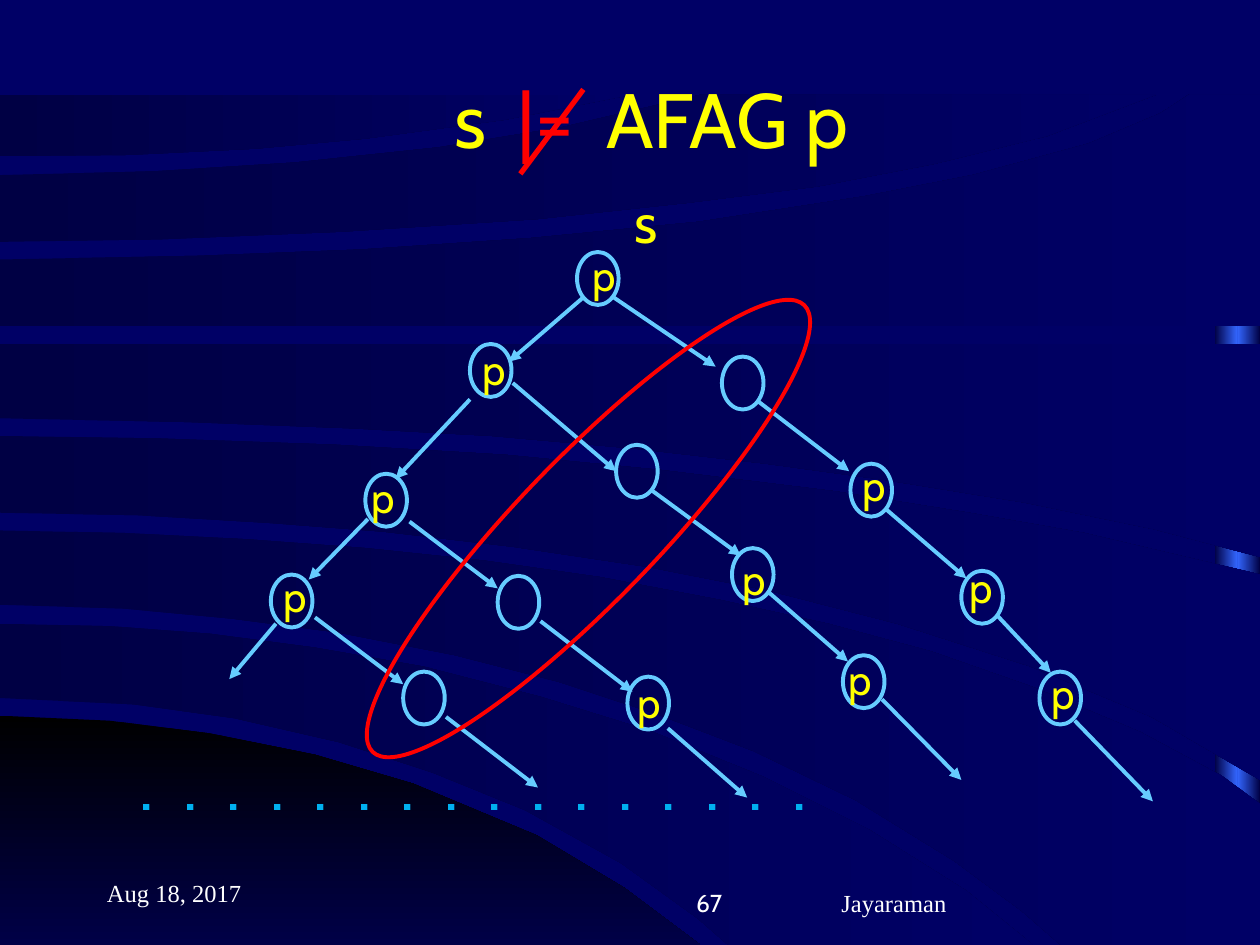
from lxml import etree
from pptx import Presentation, util as u
from pptx.dml.color import RGBColor
from pptx.enum import shapes, text
from pptx.oxml.ns import qn

# Content: positions on a grid of inches, turned into Cm by grid()
NAVY, DARK, SKY, YELLOW, RED, WHITE = (
    "000066", "000044", "66CCFF", "FFFF00", "FF0000", "FFFFFF")
WIDTH, HEIGHT = 10, 7.5

# Each sweep is bounded by an upper and a lower edge, both left to right
SWEEPS = [
    ([(0, 4.95), (0.88, 4.97), (1.67, 5.03), (2.5, 5.14), (3.36, 5.29),
      (4.29, 5.53), (5.16, 5.8), (6.07, 6.17), (6.89, 6.58), (7.67, 7.07),
      (8.2, 7.5)],
     [(0, 5.54), (1.06, 5.59), (1.86, 5.7), (2.69, 5.89), (3.43, 6.13),
      (4.17, 6.43), (4.93, 6.85), (5.54, 7.29), (5.78, 7.5)]),
    ([(0, 4.21), (0.98, 4.23), (1.96, 4.28), (2.9, 4.35), (3.85, 4.45),
      (4.76, 4.58), (5.71, 4.76), (6.57, 4.95), (7.39, 5.17), (8.19, 5.45),
      (9.05, 5.81), (9.7, 6.16), (10, 6.38), (10, 7.5)],
     [(0, 4.8), (0.98, 4.83), (1.84, 4.91), (2.68, 5.02), (3.61, 5.2),
      (4.43, 5.41), (5.22, 5.67), (5.98, 5.96), (6.79, 6.35), (7.57, 6.83),
      (8.11, 7.23), (8.42, 7.5)]),
    ([(0, 3.46), (1.25, 3.48), (2.66, 3.53), (4.01, 3.61), (5.24, 3.73),
      (6.63, 3.9), (7.69, 4.07), (8.6, 4.23), (10, 4.56)],
     [(0, 4.07), (1.1, 4.09), (2.12, 4.15), (3.04, 4.22), (4.07, 4.34),
      (5.14, 4.5), (6.11, 4.69), (7.12, 4.95), (8.18, 5.29), (9.14, 5.69),
      (10, 6.19)]),
    ([(0, 2.73), (10, 2.73)],
     [(0, 3.32), (1.48, 3.35), (2.79, 3.4), (3.9, 3.46), (5.03, 3.56),
      (6.08, 3.68), (7.03, 3.81), (8.14, 3.99), (9.16, 4.2), (10, 4.42)]),
    ([(0, 2.06), (1.58, 2.03), (2.87, 1.98), (4.21, 1.89), (5.55, 1.76),
      (6.85, 1.56), (7.72, 1.39), (8.64, 1.14), (9.21, 0.9), (9.44, 0.75),
      (10, 0.75)],
     [(0, 2.59), (10, 2.59)]),
    ([(0, 1.39), (1.22, 1.36), (2.34, 1.29), (3.48, 1.17), (4.46, 1.01),
      (5.57, 0.75), (9.18, 0.75)],
     [(0, 1.92), (1.27, 1.9), (2.71, 1.84), (4.26, 1.74), (5.46, 1.61),
      (6.49, 1.48), (7.42, 1.3), (8.31, 1.08), (9.18, 0.75)]),
    ([(0, 0.75), (5.02, 0.75)],
     [(0, 1.24), (1.02, 1.23), (2.03, 1.18), (2.9, 1.1), (4.01, 0.95),
      (5.02, 0.75)]),
]
CORNER = ([(0, 5.68), (0.87, 5.72), (1.66, 5.82), (2.5, 5.99), (3.28, 6.22),
           (4.26, 6.63), (4.96, 7.05), (5.56, 7.5)], [(0, 7.5)])

# States where p holds: state corner, then corner of its label
P_STATES = [
    ((4.58, 2), (4.6, 1.93)), ((3.73, 2.73), (3.73, 2.68)),
    ((2.9, 3.76), (2.85, 3.69)), ((2.15, 4.56), (2.15, 4.48)),
    ((6.75, 3.68), (6.74, 3.6)), ((7.63, 4.53), (7.59, 4.41)),
    ((8.25, 5.33), (8.24, 5.25)), ((5.81, 4.35), (5.79, 4.34)),
    ((6.69, 5.2), (6.63, 5.14)), ((4.98, 5.37), (4.96, 5.32)),
]
EMPTY_STATES = [(5.73, 2.83), (4.89, 3.53), (3.95, 4.57), (3.2, 5.33)]
TRANSITIONS = [
    # left spine
    (4.63, 2.36, 4.04, 2.87), (3.73, 3.17, 3.14, 3.8),
    (2.92, 4.12, 2.45, 4.6), (2.19, 4.95, 1.82, 5.39),
    # branches to the right, one row for each spine state
    (4.87, 2.36, 5.68, 2.91), (6.01, 3.18, 6.74, 3.74),
    (7.03, 4.04, 7.67, 4.59), (7.91, 4.88, 8.34, 5.34),
    (8.53, 5.72, 9.15, 6.36),
    (4.07, 3.04, 4.89, 3.74), (5.17, 3.89, 5.88, 4.41),
    (6.1, 4.7, 6.73, 5.25), (7, 5.55, 7.63, 6.19),
    (3.25, 4.14, 3.95, 4.67), (4.29, 4.93, 5.02, 5.49),
    (5.3, 5.78, 5.93, 6.33),
    (2.5, 4.9, 3.2, 5.43), (3.54, 5.69, 4.27, 6.25),
]
# Runs: wording, colour, letter spacing in points
TITLE = [("s", YELLOW, 0), (" ", YELLOW, 8.4), ("|=", RED, 0),
         (" ", YELLOW, 8.4), ("AFAG p", YELLOW, 0)]
DOTS = [(" ".join("." * 16), "00B0F0", 3.9)]

LEFT, CENTER, RIGHT = (text.PP_ALIGN.LEFT, text.PP_ALIGN.CENTER,
                       text.PP_ALIGN.RIGHT)
TOP, MIDDLE, BOTTOM = (text.MSO_ANCHOR.TOP, text.MSO_ANCHOR.MIDDLE,
                       text.MSO_ANCHOR.BOTTOM)


def grid(*inches):
    return [u.Cm(2.54 * value) for value in inches]


def rgb(color):
    return RGBColor.from_string(color)


def shade(shape, first, last, angle=0):
    shape.shadow.inherit = False
    shape.line.fill.background()
    shape.fill.gradient()
    shape.fill.gradient_angle = angle
    for stop, color in zip(shape.fill.gradient_stops, (first, last)):
        stop.color.rgb = rgb(color)


def add_sweep(slide, edges, first, last, angle=0):
    upper, lower = edges
    outline = [(round(x * 100), round(y * 100)) for x, y in upper + lower[::-1]]
    builder = slide.shapes.build_freeform(*outline[0], scale=u.Cm(0.0254))
    builder.add_line_segments(outline[1:], close=True)
    shade(builder.convert_to_shape(), first, last, angle)


def add_ring(slide, at, color, rotation=0):
    ring = slide.shapes.add_shape(shapes.MSO_SHAPE.OVAL, *grid(*at))
    ring.shadow.inherit = False
    ring.fill.background()
    ring.line.color.rgb = rgb(color)
    ring.line.width = u.Pt(2.25)
    ring.rotation = rotation


def add_stroke(slide, ends, color, width, arrow=False):
    stroke = slide.shapes.add_connector(shapes.MSO_CONNECTOR.STRAIGHT, *grid(*ends))
    stroke.line.color.rgb = rgb(color)
    stroke.line.width = u.Pt(width)
    if arrow:
        etree.SubElement(stroke.line._get_or_add_ln(), qn("a:tailEnd"), type="triangle")
    etree.SubElement(stroke._element.spPr, qn("a:effectLst"))


def add_words(slide, at, runs, size, align=CENTER, anchor=TOP, font="Cabin", wrap=True):
    frame = slide.shapes.add_textbox(*grid(*at)).text_frame
    frame.word_wrap = wrap
    frame.vertical_anchor = anchor
    line = frame.paragraphs[0]
    line.alignment = align
    line.font.size = u.Pt(size)
    line.font.name = font
    for wording, color, spacing in runs:
        run = line.add_run()
        run.text = wording
        run.font.color.rgb = rgb(color)
        if spacing:
            run.font._element.set("spc", str(round(spacing * 100)))


def main():
    deck = Presentation()
    deck.slide_width, deck.slide_height = grid(WIDTH, HEIGHT)
    slide = deck.slides.add_slide(deck.slide_layouts[6])

    # Backdrop: glowing right margin, dark corner and sweeps
    slide.background.fill.solid()
    slide.background.fill.fore_color.rgb = rgb(NAVY)
    for left, colors in ((9.64, (DARK, "3366FF")), (9.82, ("3366FF", DARK))):
        margin = slide.shapes.add_shape(
            shapes.MSO_SHAPE.RECTANGLE, *grid(left, 0.77, 0.18, HEIGHT - 0.77))
        shade(margin, *colors)
    add_sweep(slide, CORNER, "000000", "000047", 270)
    for edges in SWEEPS:
        add_sweep(slide, edges, DARK, NAVY)

    # Title with struck-out relation, and footer
    add_words(slide, (0.92, 0.31, 8.5, 1.25), TITLE, 44, anchor=MIDDLE)
    add_stroke(slide, (4.63, 0.71, 4.13, 1.38), RED, 3)
    for at, wording, align, font in (
            ((0.75, 6.75, 2.08, 0.5), "Aug 18, 2017", LEFT, "Times New Roman"),
            ((6.58, 6.83, 3.17, 0.5), "Jayaraman", LEFT, "Times New Roman"),
            ((3.75, 6.83, 2.08, 0.5), "67", RIGHT, "Cabin")):
        add_words(slide, at, [(wording, WHITE, 0)], 14, align, BOTTOM, font)

    # Computation tree
    for ends in TRANSITIONS:
        add_stroke(slide, ends, SKY, 2.25, arrow=True)
    for corner in [state for state, _ in P_STATES] + EMPTY_STATES:
        add_ring(slide, (*corner, 0.33, 0.42), SKY)
    for _, corner in P_STATES:
        add_words(slide, (*corner, 0.39, 0.5), [("p", YELLOW, 0)], 24, wrap=False)
    add_words(slide, (4.93, 1.44, 0.4, 0.64), [("s", YELLOW, 0)], 32, wrap=False)
    add_words(slide, (1.01, 5.83, 8.53, 0.77), DOTS, 40, LEFT)

    # Loop around the states without p
    add_ring(slide, (4.11, 1.73, 1.12, 4.93), RED, 44)
    deck.save("out.pptx")


if __name__ == "__main__":
    main()
